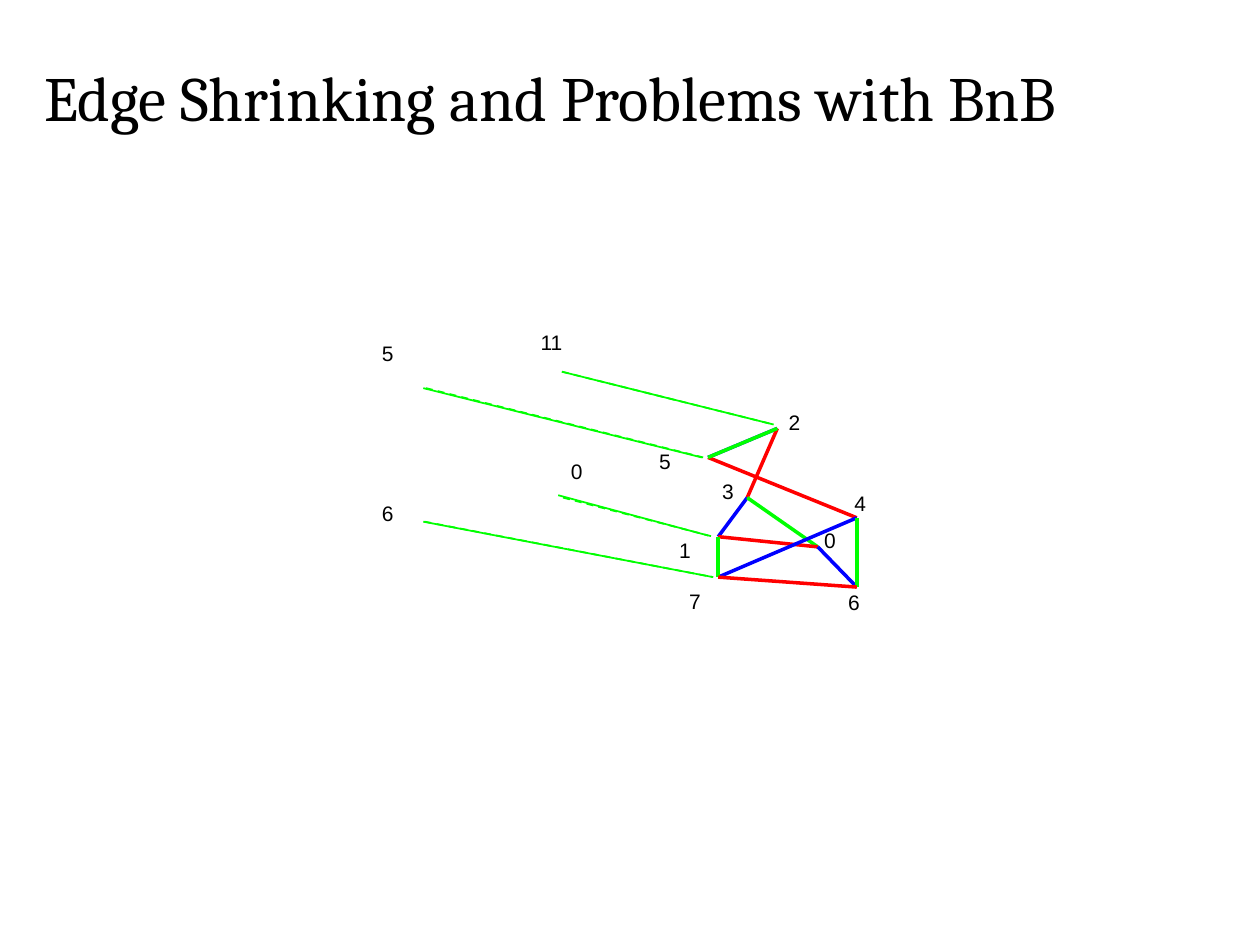
from dataclasses import dataclass
from typing import NamedTuple

from lxml.etree import SubElement
from pptx import Presentation
from pptx.dml.color import RGBColor
from pptx.enum.dml import MSO_LINE
from pptx.enum.shapes import MSO_CONNECTOR
from pptx.enum.text import MSO_ANCHOR, MSO_AUTO_SIZE, PP_ALIGN
from pptx.oxml.ns import qn
from pptx.slide import Slide
from pptx.text.text import TextFrame
from pptx.util import Pt


@dataclass(frozen=True)
class Theme:
    black: RGBColor = RGBColor(0, 0, 0)
    red: RGBColor = RGBColor(255, 0, 0)
    green: RGBColor = RGBColor(0, 255, 0)
    blue: RGBColor = RGBColor(0, 0, 255)
    title_font: str = "Cambria"
    label_font: str = "Arial"
    title_size: float = 36
    label_size: float = 12
    edge_width: float = 2
    link_width: float = 1
    label_inset: float = 3.6
    label_height: float = 20.9


class Point(NamedTuple):
    x: float
    y: float


class Edge(NamedTuple):
    start: int
    end: int
    color: RGBColor


class Link(NamedTuple):
    start: Point
    end: Point
    dashed: bool = False


class Label(NamedTuple):
    text: str
    left: float
    top: float
    width: float = 15.1


THEME = Theme()

NODES = {
    0: Point(467.3, 312.5),
    1: Point(410.4, 306.7),
    2: Point(444.2, 244.8),
    3: Point(427, 284.4),
    4: Point(489.6, 295.9),
    5: Point(404.6, 261.4),
    6: Point(489.6, 335.5),
    7: Point(410.4, 329.8),
}

EDGES = [
    Edge(5, 2, THEME.blue),
    Edge(2, 3, THEME.red),
    Edge(5, 4, THEME.red),
    Edge(3, 1, THEME.blue),
    Edge(3, 0, THEME.green),
    Edge(1, 0, THEME.red),
    Edge(0, 6, THEME.blue),
    Edge(4, 7, THEME.blue),
    Edge(7, 1, THEME.green),
    Edge(4, 6, THEME.green),
    Edge(7, 6, THEME.red),
    Edge(2, 5, THEME.green),
]

LABELS = [
    Label("2", 447.1, 230.4),
    Label("5", 373, 252.7),
    Label("3", 409, 270),
    Label("1", 384.5, 303.8),
    Label("7", 390.2, 332.6),
    Label("6", 481, 333.4),
    Label("0", 467.3, 298.1),
    Label("4", 484.6, 276.5),
    Label("5", 214.6, 190.8),
    Label("11", 305.3, 185, 20.9),
    Label("0", 322.6, 258.5),
    Label("6", 214.6, 282.2),
]

LINKS = [
    Link(Point(321.1, 212.4), Point(442.1, 242.6), True),
    Link(Point(321.8, 284.4), Point(407.5, 306.7), True),
    Link(Point(242.6, 298.1), Point(407.5, 329.8), True),
    Link(Point(243.4, 221.8), Point(401.8, 261.4), True),
    Link(Point(241.9, 221.8), Point(401, 261.4)),
    Link(Point(321.1, 212.4), Point(442.1, 242.6)),
    Link(Point(241.9, 298.1), Point(407.5, 329.8)),
    Link(Point(319, 283), Point(404.6, 306)),
]


def set_insets(frame: TextFrame, inset: float) -> None:
    frame.margin_left = frame.margin_right = Pt(inset)
    frame.margin_top = frame.margin_bottom = Pt(inset)


def write_text(frame: TextFrame, text: str, font: str, size: float) -> None:
    para = frame.paragraphs[0]
    para.text = text
    para.alignment = PP_ALIGN.LEFT
    para.font.name = font
    para.font.size = Pt(size)
    para.font.color.rgb = THEME.black


def draw_title(page: Slide, text: str) -> None:
    title = page.shapes.title
    title.left, title.top = Pt(25.2), Pt(25.2)
    title.width, title.height = Pt(648), Pt(59.8)
    frame = title.text_frame
    frame.vertical_anchor = MSO_ANCHOR.MIDDLE
    frame.auto_size = MSO_AUTO_SIZE.NONE
    set_insets(frame, 0)
    write_text(frame, text, THEME.title_font, THEME.title_size)


def draw_line(page: Slide, start: Point, end: Point, color: RGBColor,
              width: float, dashed: bool = False) -> None:
    connector = page.shapes.add_connector(
        MSO_CONNECTOR.STRAIGHT, Pt(start.x), Pt(start.y), Pt(end.x), Pt(end.y))
    connector.line.color.rgb = color
    connector.line.width = Pt(width)
    if dashed:
        connector.line.dash_style = MSO_LINE.DASH
    SubElement(connector._element.spPr, qn("a:effectLst"))


def draw_label(page: Slide, label: Label) -> None:
    box = page.shapes.add_textbox(
        Pt(label.left), Pt(label.top), Pt(label.width), Pt(THEME.label_height))
    frame = box.text_frame
    frame.word_wrap = False
    frame.auto_size = MSO_AUTO_SIZE.SHAPE_TO_FIT_TEXT
    set_insets(frame, THEME.label_inset)
    write_text(frame, label.text, THEME.label_font, THEME.label_size)


def build() -> None:
    deck = Presentation()
    deck.slide_width, deck.slide_height = Pt(720), Pt(540)
    page = deck.slides.add_slide(deck.slide_layouts.get_by_name("Title Only"))
    draw_title(page, "Edge Shrinking and Problems with BnB")
    for edge in EDGES:
        draw_line(page, NODES[edge.start], NODES[edge.end], edge.color, THEME.edge_width)
    for label in LABELS:
        draw_label(page, label)
    for link in LINKS:
        draw_line(page, link.start, link.end, THEME.green, THEME.link_width, link.dashed)
    deck.save("out.pptx")


build()
